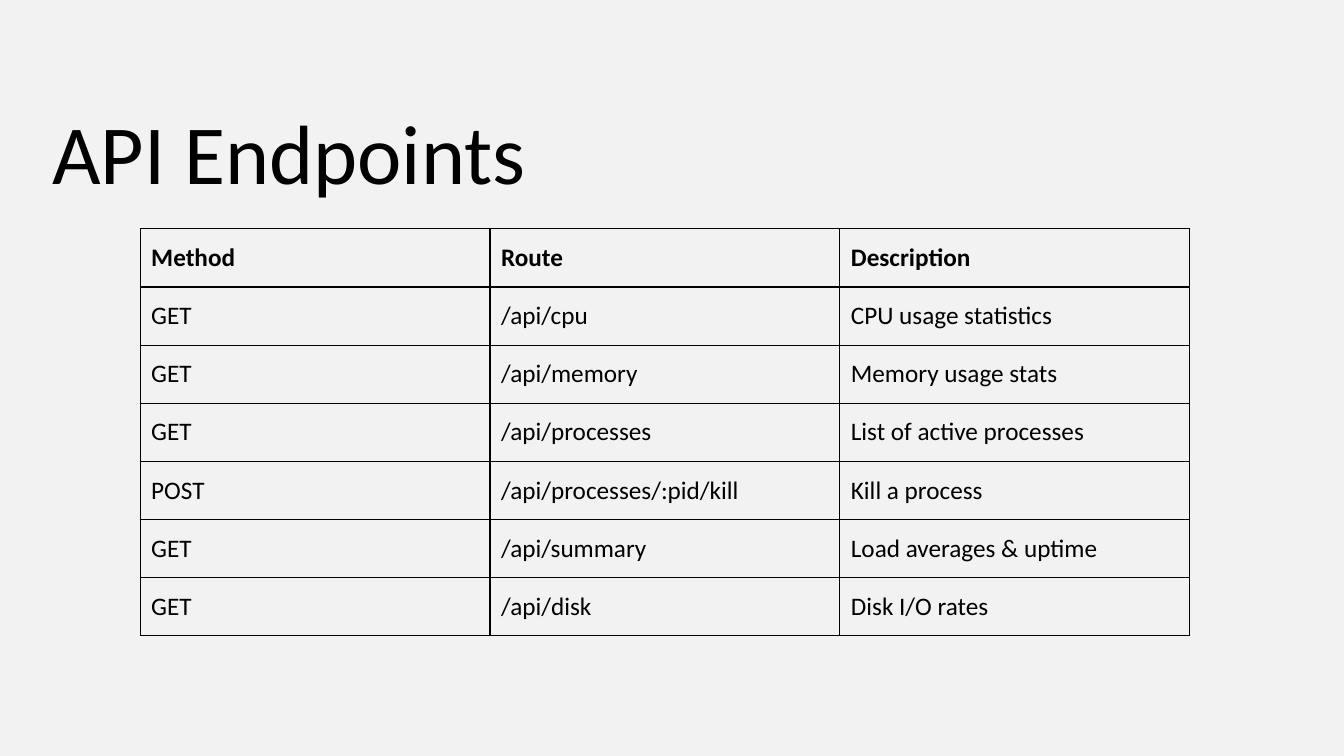
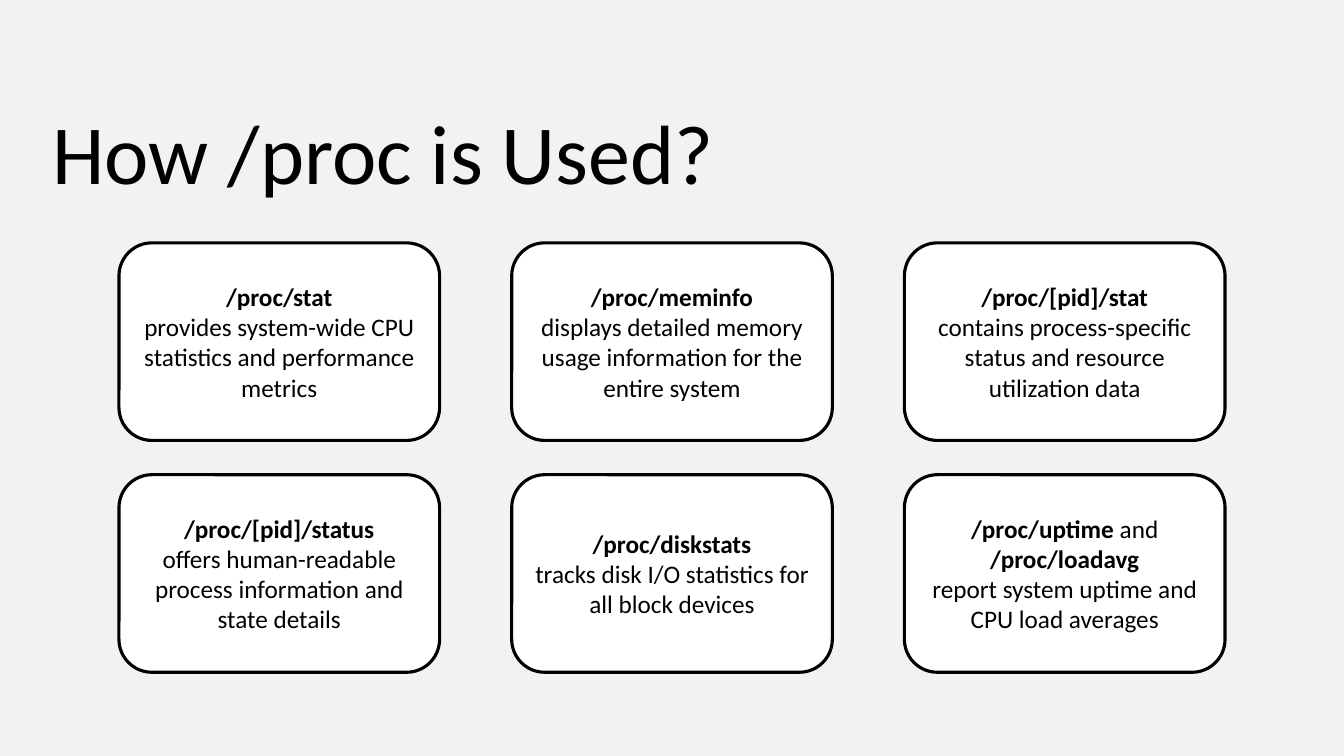
from lxml.etree import SubElement
from pptx import Presentation
from pptx.dml.color import RGBColor
from pptx.enum.shapes import MSO_SHAPE
from pptx.enum.text import MSO_ANCHOR, MSO_AUTO_SIZE, PP_ALIGN
from pptx.oxml.ns import qn
from pptx.util import Inches, Pt

FONT = "Calibri"
INK = "000000"
PAPER = "F2F2F2"
CARD_FILL = "FFFFFF"

ENDPOINTS = [
    ("Method", "Route", "Description"),
    ("GET", "/api/cpu", "CPU usage statistics"),
    ("GET", "/api/memory", "Memory usage stats"),
    ("GET", "/api/processes", "List of active processes"),
    ("POST", "/api/processes/:pid/kill", "Kill a process"),
    ("GET", "/api/summary", "Load averages & uptime"),
    ("GET", "/api/disk", "Disk I/O rates"),
]

PROC_FILES = [
    (["/proc/stat"], "provides system-wide CPU statistics and performance metrics"),
    (["/proc/meminfo"], "displays detailed memory usage information for the entire system"),
    (["/proc/[pid]/stat"], "contains process-specific status and resource utilization data"),
    (["/proc/[pid]/status"], "offers human-readable process information and state details"),
    (["/proc/diskstats"], "tracks disk I/O statistics for all block devices"),
    (["/proc/uptime", "/proc/loadavg"], "report system uptime and CPU load averages"),
]


def paint(color_format, hex_color):
    """Set a colour from a hex string."""
    color_format.rgb = RGBColor.from_string(hex_color)


def write(paragraph, text, size=18, bold=False, color=INK, align=PP_ALIGN.LEFT):
    """Append one formatted run to a paragraph."""
    paragraph.alignment = align
    run = paragraph.add_run()
    run.text = text
    run.font.name = FONT
    run.font.size = Pt(size)
    run.font.bold = bold
    paint(run.font.color, color)


def add_titled_slide(deck, title, title_width):
    """Add a blank slide with the shared background and title."""
    slide = deck.slides.add_slide(deck.slide_layouts[6])
    slide.background.fill.solid()
    paint(slide.background.fill.fore_color, PAPER)
    heading = slide.shapes.add_textbox(
        Inches(0.42), Inches(0.95), Inches(title_width), Inches(1.11)).text_frame
    heading.word_wrap = False
    heading.auto_size = MSO_AUTO_SIZE.SHAPE_TO_FIT_TEXT
    write(heading.paragraphs[0], title, size=60)
    return slide


def outline_cell(cell, color=INK, width=1):
    """Draw all four borders of a table cell."""
    properties = cell._tc.get_or_add_tcPr()
    for side in ("a:lnL", "a:lnR", "a:lnT", "a:lnB"):
        border = SubElement(properties, qn(side), w=str(Pt(width)))
        fill = SubElement(border, qn("a:solidFill"))
        SubElement(fill, qn("a:srgbClr"), val=color)


def add_endpoint_table(slide, rows, left, top, width, height):
    """Fill a box with a ruled table whose first row is bold."""
    table = slide.shapes.add_table(
        len(rows), len(rows[0]),
        Inches(left), Inches(top), Inches(width), Inches(height)).table
    table.first_row = False
    table.horz_banding = False
    for row_index, row in enumerate(rows):
        for column_index, text in enumerate(row):
            cell = table.cell(row_index, column_index)
            cell.vertical_anchor = MSO_ANCHOR.MIDDLE
            cell.margin_left = cell.margin_right = Inches(0.11)
            cell.margin_top = cell.margin_bottom = Inches(0.05)
            outline_cell(cell)
            cell.fill.background()
            write(cell.text_frame.paragraphs[0], text, bold=row_index == 0)


def add_card(slide, names, description, left, top, width, height):
    """Add a rounded card with bold file names above a description."""
    card = slide.shapes.add_shape(
        MSO_SHAPE.ROUNDED_RECTANGLE,
        Inches(left), Inches(top), Inches(width), Inches(height))
    card.shadow.inherit = False
    card.fill.solid()
    paint(card.fill.fore_color, CARD_FILL)
    paint(card.line.color, INK)
    card.line.width = Pt(2.25)
    frame = card.text_frame
    frame.word_wrap = True
    frame.vertical_anchor = MSO_ANCHOR.MIDDLE
    for index, name in enumerate(names):
        if index:
            write(frame.paragraphs[0], " and ", align=PP_ALIGN.CENTER)
        write(frame.paragraphs[0], name, bold=True, align=PP_ALIGN.CENTER)
    write(frame.add_paragraph(), description, align=PP_ALIGN.CENTER)


def add_card_grid(slide, entries, left, top, width, height, columns=3,
                  card_width=3.18, card_height=1.96):
    """Spread cards evenly over a box, row by row."""
    rows = -(-len(entries) // columns)
    step_x = (width - card_width) / (columns - 1)
    step_y = (height - card_height) / (rows - 1)
    for index, (names, description) in enumerate(entries):
        row, column = divmod(index, columns)
        add_card(slide, names, description, left + column * step_x,
                 top + row * step_y, card_width, card_height)


def main():
    """Build and save the deck."""
    deck = Presentation()
    deck.slide_width, deck.slide_height = Inches(13.33), Inches(7.5)
    endpoints = add_titled_slide(deck, "API Endpoints", 5)
    add_endpoint_table(endpoints, ENDPOINTS, 1.39, 2.27, 10.41, 4.04)
    proc_usage = add_titled_slide(deck, "How /proc is Used?", 6.92)
    add_card_grid(proc_usage, PROC_FILES, 1.18, 2.41, 10.97, 4.26)
    deck.save("out.pptx")


if __name__ == "__main__":
    main()
